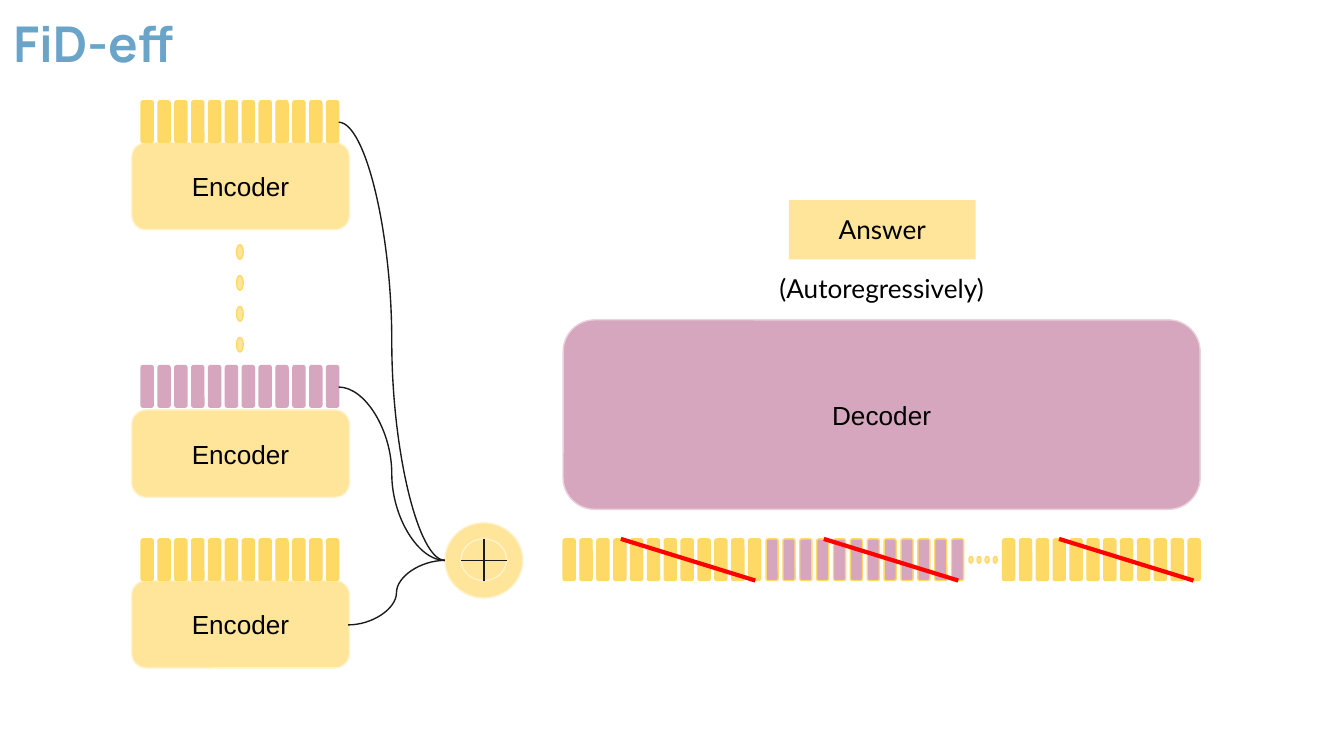
from dataclasses import dataclass

from lxml.etree import SubElement
from pptx import Presentation
from pptx.dml.color import RGBColor
from pptx.enum.shapes import MSO_CONNECTOR, MSO_SHAPE
from pptx.enum.text import MSO_ANCHOR, MSO_AUTO_SIZE, PP_ALIGN
from pptx.oxml.ns import qn
from pptx.util import Inches, Pt

YELLOW, GOLD, CREAM = "FFE599", "FFD966", "FFF2CC"
MAUVE, PINK = "D5A6BD", "EAD1DC"
BLUE, BLACK, INK, RED = "6AA4C8", "000000", "1A1A1A", "FF0000"

TOKEN_COUNT = 12
TOKEN_WIDTH, TOKEN_HEIGHT = 0.09, 0.31
TOKEN_PITCH = 1.38 / (TOKEN_COUNT - 1)
ROW_TOP = 4.01  # tokens of the last encoder and of the decoder input
ROW_MIDDLE = 4.17


@dataclass
class Box:
    left: float
    top: float
    width: float
    height: float
    fill: str
    line: str | None = None
    kind: MSO_SHAPE = MSO_SHAPE.ROUNDED_RECTANGLE


@dataclass
class TokenStrip:
    left: float
    top: float
    fill: str
    line: str


@dataclass
class Stroke:
    start: tuple[float, float]
    end: tuple[float, float]
    color: str = INK
    weight: float = 0.75
    kind: MSO_CONNECTOR = MSO_CONNECTOR.STRAIGHT


def rgb(color: str) -> RGBColor:
    return RGBColor.from_string(color)


def draw_box(page, box: Box):
    shape = page.shapes.add_shape(
        box.kind, Inches(box.left), Inches(box.top), Inches(box.width), Inches(box.height))
    shape.shadow.inherit = False
    shape.fill.solid()
    shape.fill.fore_color.rgb = rgb(box.fill)
    if box.line:
        shape.line.color.rgb = rgb(box.line)
        shape.line.width = Pt(0.75)
    else:
        shape.line.fill.background()
    return shape


def write_text(shape, text: str, font_name: str = "Arial", size: float = 14,
               color: str = BLACK, bold: bool = False,
               align: PP_ALIGN = PP_ALIGN.CENTER,
               anchor: MSO_ANCHOR = MSO_ANCHOR.MIDDLE) -> None:
    frame = shape.text_frame
    frame.word_wrap = True
    frame.auto_size = MSO_AUTO_SIZE.NONE
    frame.vertical_anchor = anchor
    frame.margin_left = frame.margin_right = Inches(0.1)
    frame.margin_top = frame.margin_bottom = Inches(0.1)
    para = frame.paragraphs[0]
    para.text = text
    para.alignment = align
    para.font.name = font_name
    para.font.size = Pt(size)
    para.font.bold = bold
    para.font.color.rgb = rgb(color)


def draw_tokens(page, strip: TokenStrip) -> None:
    for index in range(TOKEN_COUNT):
        draw_box(page, Box(strip.left + index * TOKEN_PITCH, strip.top,
                           TOKEN_WIDTH, TOKEN_HEIGHT, strip.fill, strip.line))


def draw_stroke(page, stroke: Stroke) -> None:
    points = [Inches(value) for value in (*stroke.start, *stroke.end)]
    connector = page.shapes.add_connector(stroke.kind, *points)
    connector.line.color.rgb = rgb(stroke.color)
    connector.line.width = Pt(stroke.weight)
    SubElement(connector._element.spPr, qn("a:effectLst"))


def draw_encoders(page) -> None:
    for top in (1.06, 3.05, 4.32):
        write_text(draw_box(page, Box(0.98, top, 1.62, 0.65, YELLOW, CREAM)), "Encoder")
    for top, color in ((0.75, GOLD), (2.72, MAUVE), (ROW_TOP, GOLD)):
        draw_tokens(page, TokenStrip(1.05, top, color, color))
    # Dots between the first and second encoder
    for index in range(4):
        draw_box(page, Box(1.76, 1.82 + index * 0.23, 0.05, 0.11,
                           YELLOW, GOLD, MSO_SHAPE.OVAL))


def draw_concatenation(page) -> None:
    # Plus sign in a circle
    draw_box(page, Box(3.31, 3.89, 0.58, 0.56, YELLOW, CREAM, MSO_SHAPE.OVAL))
    draw_box(page, Box(3.43, ROW_TOP, 0.34, 0.31, YELLOW, CREAM, MSO_SHAPE.OVAL))
    draw_stroke(page, Stroke((3.6, ROW_TOP), (3.6, ROW_TOP + TOKEN_HEIGHT)))
    draw_stroke(page, Stroke((3.43, ROW_MIDDLE), (3.77, ROW_MIDDLE)))
    # Curves from the encoders
    for start in ((2.52, 0.91), (2.52, 2.88), (2.59, 4.65)):
        draw_stroke(page, Stroke(start, (3.31, ROW_MIDDLE), kind=MSO_CONNECTOR.CURVE))


def draw_decoder(page) -> None:
    # Concatenated input tokens
    for left, fill in ((4.19, GOLD), (5.7, MAUVE), (7.46, GOLD)):
        draw_tokens(page, TokenStrip(left, ROW_TOP, fill, GOLD))
    for index in range(4):
        draw_box(page, Box(7.21 + index * 0.06, 4.14, 0.03, 0.05,
                           YELLOW, GOLD, MSO_SHAPE.OVAL))

    # Decoder and its output
    write_text(draw_box(page, Box(4.19, 2.38, 4.74, 1.41, MAUVE, PINK)), "Decoder")
    answer = draw_box(page, Box(5.87, 1.49, 1.39, 0.44, YELLOW, kind=MSO_SHAPE.RECTANGLE))
    write_text(answer, "Answer", "Lato", anchor=MSO_ANCHOR.TOP)
    caption = page.shapes.add_textbox(Inches(5.4), Inches(1.93), Inches(2.32), Inches(0.44))
    write_text(caption, "(Autoregressively)", "Lato", anchor=MSO_ANCHOR.TOP)

    # Strikes through the dropped tokens
    for left in (4.62, 6.13, 7.88):
        draw_stroke(page, Stroke((left, ROW_TOP), (left + 1, ROW_TOP + TOKEN_HEIGHT),
                                 RED, 2.25))


def main() -> None:
    # Widescreen 16:9 page
    deck = Presentation()
    deck.slide_width = Inches(10)
    deck.slide_height = Inches(10 * 9 / 16)
    page = deck.slides.add_slide(deck.slide_layouts[5])

    title = page.shapes.title
    title.left, title.top = Inches(0), Inches(0)
    title.width, title.height = Inches(8.41), Inches(0.75)
    write_text(title, "FiD-eff", "Manrope", 26.4, BLUE, True, PP_ALIGN.LEFT, MSO_ANCHOR.TOP)

    draw_encoders(page)
    draw_concatenation(page)
    draw_decoder(page)
    deck.save("out.pptx")


if __name__ == "__main__":
    main()
